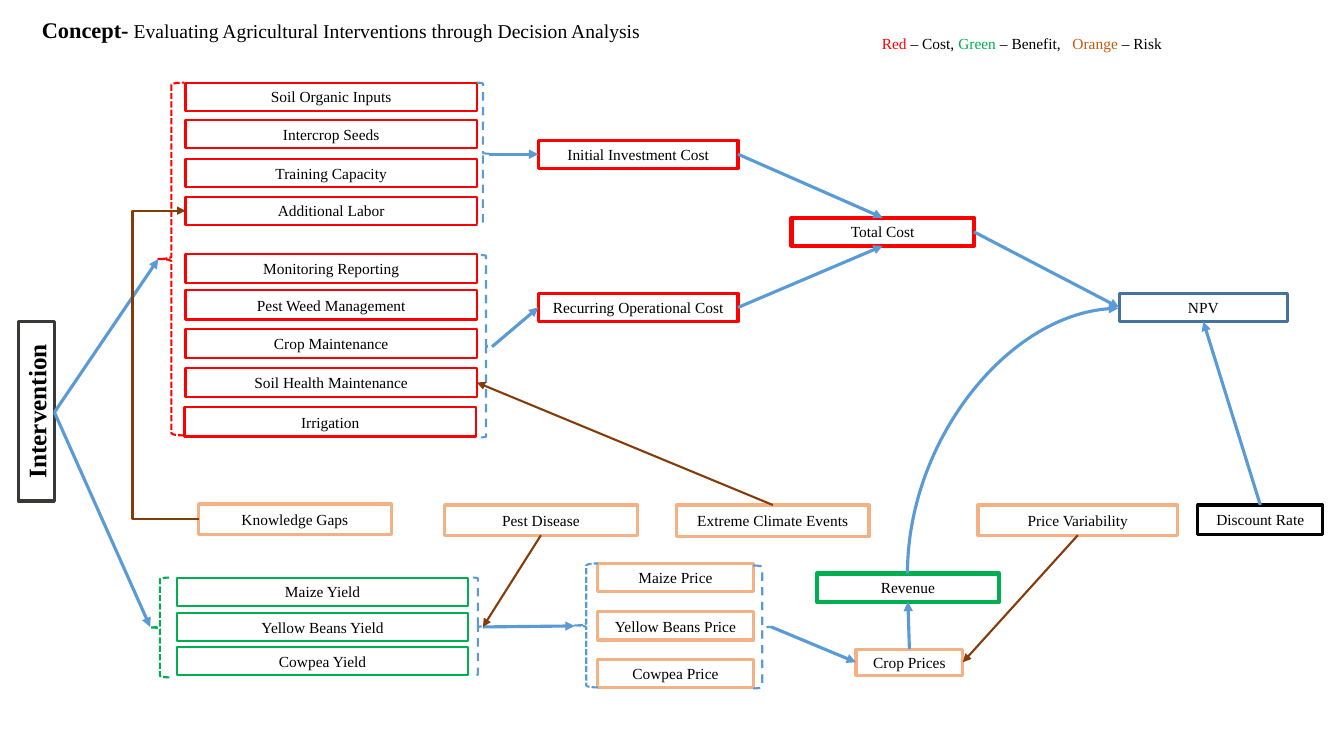
from dataclasses import dataclass

from lxml.etree import SubElement
from pptx import Presentation
from pptx.dml.color import RGBColor as RGB
from pptx.enum.dml import MSO_LINE as DASH
from pptx.enum.shapes import MSO_CONNECTOR as CONN, MSO_SHAPE as SHAPE
from pptx.enum.text import MSO_ANCHOR as ANCHOR, PP_ALIGN as ALIGN
from pptx.oxml.ns import qn
from pptx.util import Inches, Pt

TOP, LEFT, BOTTOM, RIGHT = range(4)


@dataclass(frozen=True)
class Theme:
    font: str = "Times New Roman"
    text: str = "000000"
    paper: str = "FFFFFF"
    cost: str = "FF0000"
    benefit: str = "00B050"
    risk: str = "F4B183"
    risk_text: str = "C55A11"
    risk_line: str = "843C0B"
    flow: str = "5B9BD5"
    npv: str = "43739E"
    option: str = "3B3838"
    body: int = 11
    subtitle: int = 14
    title: int = 16
    label: int = 18


class Diagram:
    def __init__(self, slide, theme):
        self.shapes, self.theme = slide.shapes, theme

    def set_text(self, s, runs, anchor=ANCHOR.MIDDLE):
        tf = s.text_frame
        tf.word_wrap, tf.vertical_anchor = True, anchor
        p = tf.paragraphs[0]
        p.alignment = ALIGN.CENTER
        for text, size, color, bold in runs:
            r = p.add_run()
            r.text = text
            style = {"name": self.theme.font, "size": Pt(size), "bold": bold}
            for key, value in style.items():
                setattr(r.font, key, value)
            r.font.color.rgb = RGB.from_string(color)
        return p

    def stroke(self, s, color, width, dash=None):
        s.line.color.rgb = RGB.from_string(color)
        for key, value in {"width": Pt(width), "dash_style": dash}.items():
            setattr(s.line, key, value)

    def box(self, at, runs, color=None, width=0, rotation=0):
        s = self.shapes.add_shape(SHAPE.RECTANGLE, *map(Inches, at))
        s.shadow.inherit = False
        s.rotation = rotation
        s.fill.solid()
        s.fill.fore_color.rgb = RGB.from_string(self.theme.paper)
        if color:
            self.stroke(s, color, width)
        else:
            s.line.fill.background()
        self.set_text(s, runs)
        return s

    def node(self, text, at, color, width):
        return self.box(at, [(text, self.theme.body, self.theme.text, False)], color, width)

    def legend(self, at, runs):
        s = self.shapes.add_textbox(*map(Inches, at))
        self.set_text(s, runs, ANCHOR.TOP).space_after = Pt(8)

    def brace(self, kind, at, color, dash):
        s = self.shapes.add_shape(kind, *map(Inches, at))
        s.shadow.inherit = False
        s.fill.background()
        self.stroke(s, color, 1.5, dash)

    def arrow(self, start, end, color, width=2.25, kind=CONN.STRAIGHT):
        """Draw an arrow; each end is a point or a (shape, side) pair."""
        ends = [e if isinstance(e[0], (int, float)) else (0, 0) for e in (start, end)]
        s = self.shapes.add_connector(kind, *(Inches(v) for e in ends for v in e))
        for e, connect in ((start, s.begin_connect), (end, s.end_connect)):
            if not isinstance(e[0], (int, float)):
                connect(*e)
        self.stroke(s, color, width)
        SubElement(s.element.spPr.get_or_add_ln(), qn("a:tailEnd"), type="triangle")
        SubElement(s.element.spPr, qn("a:effectLst"))
        return s


def main():
    prs = Presentation()
    prs.slide_width, prs.slide_height = Inches(13.33), Inches(7.5)
    t = Theme()
    d = Diagram(prs.slides.add_slide(prs.slide_layouts[6]), t)

    d.box((0.29, 0.15, 6.19, 0.28), [
        ("Concept-", t.title, t.text, True),
        (" ", t.subtitle, t.text, True),
        ("Evaluating Agricultural Interventions through Decision Analysis", t.subtitle, t.text, False),
    ])
    d.legend((7.7, 0.29, 4.87, 0.29), [(text, t.body, color, False) for text, color in (
        ("Red", t.cost), (" – Cost, ", t.text), ("Green ", t.benefit),
        ("– Benefit,   ", t.text), ("Orange ", t.risk_text), ("– Risk", t.text))])
    intervention = d.box((-0.53, 3.9, 1.78, 0.36), [("Intervention", t.label, t.text, True)],
                         t.option, 2.25, 270)

    columns = (
        (1.84, 2.89, 0.28, t.cost, 1.5, (
            ("Soil Organic Inputs", 0.82), ("Intercrop Seeds", 1.19),
            ("Training Capacity", 1.58), ("Additional Labor", 1.95))),
        (1.84, 2.89, 0.29, t.cost, 1.5, (
            ("Monitoring Reporting", 2.52), ("Pest Weed Management", 2.88),
            ("Crop Maintenance", 3.26), ("Soil Health Maintenance", 3.65))),
        (1.83, 2.89, 0.29, t.cost, 1.5, (("Irrigation", 4.04),)),
        (1.76, 2.88, 0.28, t.benefit, 1.5, (
            ("Maize Yield", 5.73), ("Yellow Beans Yield", 6.08), ("Cowpea Yield", 6.42))),
        (5.93, 1.54, 0.28, t.risk, 2.25, (
            ("Maize Price", 5.59), ("Yellow Beans Price", 6.07), ("Cowpea Price", 6.54))),
        (5.34, 1.98, 0.28, t.cost, 2.25, (
            ("Initial Investment Cost", 1.39), ("Recurring Operational Cost", 2.91))),
    )
    nodes = {}
    for left, width, height, color, line, rows in columns:
        for text, top in rows:
            nodes[text] = d.node(text, (left, top, width, height), color, line)
    for text, at, color, line in (
        ("Total Cost", (7.85, 2.16, 1.81, 0.28), t.cost, 3),
        ("NPV", (11.1, 2.91, 1.67, 0.28), t.npv, 2.25),
        ("Revenue", (8.1, 5.69, 1.81, 0.28), t.benefit, 3),
        ("Crop Prices", (8.49, 6.44, 1.06, 0.26), t.risk, 2.25),
        ("Discount Rate", (11.88, 5.01, 1.24, 0.29), t.text, 2.25),
        ("Knowledge Gaps", (1.97, 5, 1.91, 0.3), t.risk, 2.25),
        ("Pest Disease", (4.41, 5.01, 1.91, 0.3), t.risk, 2.25),
        ("Extreme Climate Events", (6.71, 5.01, 1.91, 0.31), t.risk, 2.25),
        ("Price Variability", (9.7, 5.01, 1.98, 0.3), t.risk, 2.25),
    ):
        nodes[text] = d.node(text, at, color, line)

    for at, color in (((1.57, 0.82, 0.26, 3.5), t.cost), ((1.49, 5.73, 0.19, 0.99), t.benefit),
                      ((5.7, 5.59, 0.23, 1.23), t.flow)):
        d.brace(SHAPE.LEFT_BRACE, at, color, DASH.SQUARE_DOT)
    for at in ((4.73, 0.82, 0.12, 1.41), (4.77, 2.53, 0.1, 1.81),
               (4.69, 5.73, 0.1, 0.97), (7.47, 5.61, 0.18, 1.22)):
        d.brace(SHAPE.RIGHT_BRACE, at, t.flow, DASH.DASH)

    def side(name, site):
        return nodes[name], site

    for start, end in (
        (side("Recurring Operational Cost", RIGHT), side("Total Cost", BOTTOM)),
        (side("Initial Investment Cost", RIGHT), side("Total Cost", TOP)),
        ((4.88, 3.44), side("Recurring Operational Cost", LEFT)),
        ((4.85, 1.53), side("Initial Investment Cost", LEFT)),
        ((4.79, 6.22), (5.7, 6.21)),
        ((7.65, 6.22), side("Crop Prices", LEFT)),
        (side("Crop Prices", TOP), side("Revenue", BOTTOM)),
        (side("Discount Rate", TOP), side("NPV", BOTTOM)),
        (side("Total Cost", RIGHT), side("NPV", LEFT)),
    ):
        d.arrow(start, end, t.flow)
    for end in ((1.57, 2.57), (1.49, 6.22)):
        s = d.arrow((intervention, BOTTOM), end, t.flow)
        s.begin_x, s.begin_y = Inches(0.54), Inches(4.09)
    for start, end in (
        (side("Pest Disease", BOTTOM), (4.79, 6.22)),
        (side("Extreme Climate Events", TOP), side("Soil Health Maintenance", RIGHT)),
        (side("Price Variability", BOTTOM), side("Crop Prices", RIGHT)),
    ):
        d.arrow(start, end, t.risk_line, 1.5)

    s = d.arrow(side("Knowledge Gaps", LEFT), side("Additional Labor", LEFT),
                t.risk_line, 1.5, CONN.ELBOW)
    guides = s.element.spPr.find(qn("a:prstGeom")).get_or_add_avLst()
    SubElement(guides, qn("a:gd"), name="adj1", fmla="val 504600")

    s = d.arrow((11.36, 5.42), (8.73, 3.33), t.flow, kind=CONN.CURVE)
    s.element.spPr.find(qn("a:xfrm")).set("rot", "5400000")
    s.element.spPr.find(qn("a:prstGeom")).set("prst", "curvedConnector2")

    prs.save("out.pptx")


if __name__ == "__main__":
    main()
